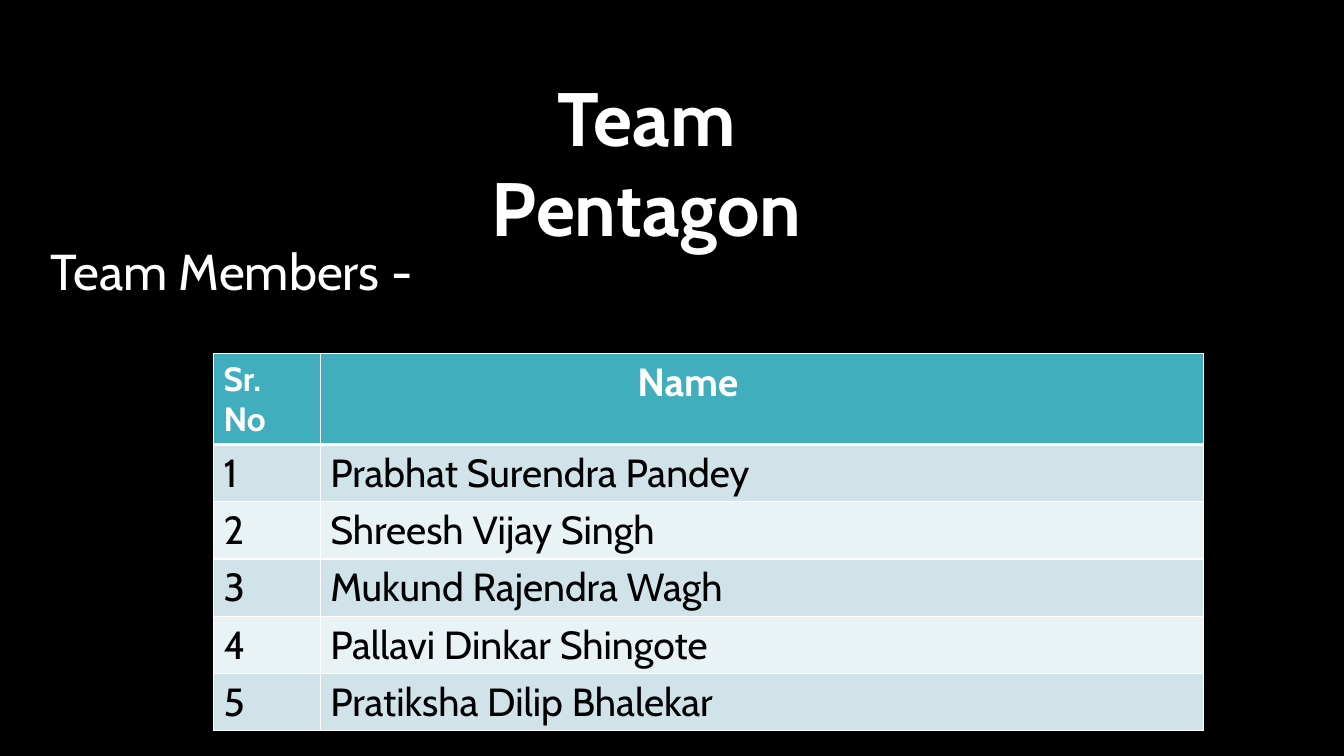
from lxml.etree import SubElement as Sub
from pptx import Presentation
from pptx.dml.color import RGBColor as Rgb
from pptx.enum.text import PP_ALIGN as Align
from pptx.oxml.ns import qn
from pptx.util import Cm, Pt

COLORS = {"background": "000000", "light": "FFFFFF", "dark": "000000",
          "header": "41AEBD", "odd": "CFE3E8", "even": "E9F2F4"}
MEMBERS = ["Prabhat Surendra Pandey", "Shreesh Vijay Singh", "Mukund Rajendra Wagh",
           "Pallavi Dinkar Shingote", "Pratiksha Dilip Bhalekar"]


def color(name):
    """Return the named colour."""
    return Rgb.from_string(COLORS[name])


def write(frame, text, size, ink, bold=False):
    """Fill a text frame with one formatted paragraph and return it."""
    frame.text = text
    paragraph = frame.paragraphs[0]
    font = paragraph.runs[0].font
    font.name, font.size, font.bold = "Cabin", Pt(size), bold
    font.color.rgb = color(ink)
    return paragraph


def add_heading(slide, box, text, size, bold=False):
    """Place a centred white heading in the box."""
    frame = slide.shapes.add_textbox(*map(Cm, box)).text_frame
    frame.word_wrap = True
    write(frame, text, size, "light", bold).alignment = Align.CENTER


def style_cell(cell, fill, bottom):
    """Give a cell white borders and a solid fill."""
    properties = cell._tc.get_or_add_tcPr()
    for side, width in (("L", 1), ("R", 1), ("T", 1), ("B", bottom)):
        border = Sub(properties, qn(f"a:ln{side}"), w=str(Pt(width)))
        Sub(Sub(border, qn("a:solidFill")), qn("a:srgbClr"), val=COLORS["light"])
    cell.fill.solid()
    cell.fill.fore_color.rgb = color(fill)


def add_members(slide, box, number_width=2.69, header_height=2.29):
    """Place the numbered table of members in the box."""
    left, top, width, height = box
    table = slide.shapes.add_table(len(MEMBERS) + 1, 2, *map(Cm, box)).table
    table.columns[0].width = Cm(number_width)
    table.columns[1].width = Cm(width - number_width)
    member_height = (height - header_height) / len(MEMBERS)
    for index, row in enumerate(table.rows):
        row.height = Cm(member_height if index else header_height)
        fill = ("even", "odd")[index % 2] if index else "header"
        for cell in row.cells:
            style_cell(cell, fill, 1 if index else 3)

    number, name = table.rows[0].cells
    number.margin_right = Cm(0.5)
    write(number.text_frame, "Sr. No", 24, "light", True)
    name_heading = write(name.text_frame, "Name", 28, "light", True)
    name_heading._p.get_or_add_pPr().set("marL", str(Cm(7.74)))
    for index, member in enumerate(MEMBERS, 1):
        for column, text in enumerate((str(index), member)):
            write(table.cell(index, column).text_frame, text, 28, "dark")


def main():
    """Build the team slide and save it."""
    deck = Presentation()
    deck.slide_width, deck.slide_height = Cm(33.87), Cm(19.05)
    slide = deck.slides.add_slide(deck.slide_layouts[6])
    slide.background.fill.solid()
    slide.background.fill.fore_color.rgb = color("background")
    add_heading(slide, (10.2, 1.65, 12.2, 2.57), "Team Pentagon", 54, True)
    add_heading(slide, (0.86, 5.92, 10.24, 1.8), "Team Members - ", 36)
    add_members(slide, (5.38, 8.91, 24.95, 9.5))
    deck.save("out.pptx")


if __name__ == "__main__":
    main()
